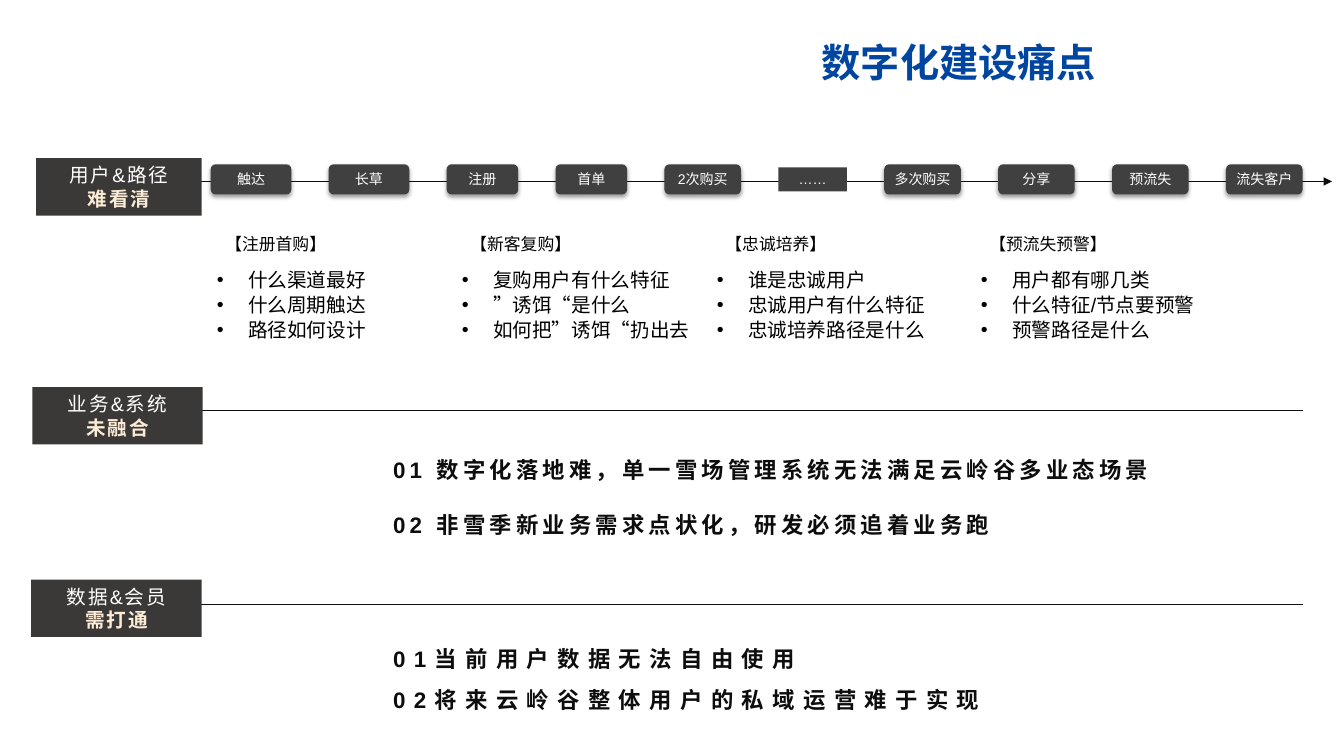
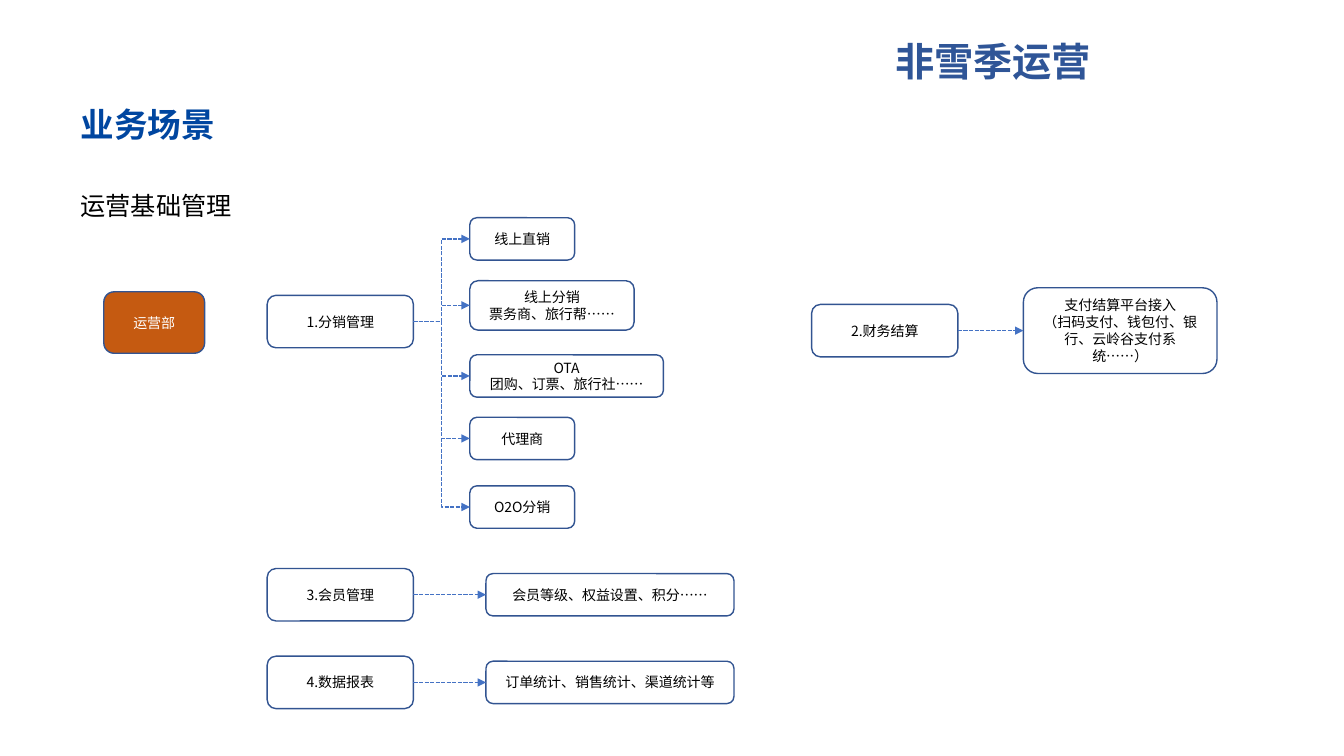
from lxml.etree import SubElement
from pptx import Presentation
from pptx.dml.color import RGBColor
from pptx.enum.dml import MSO_LINE
from pptx.enum.lang import MSO_LANGUAGE_ID
from pptx.enum.shapes import MSO_CONNECTOR as LINK, MSO_SHAPE as SHAPE
from pptx.enum.text import MSO_ANCHOR as ANCHOR, MSO_AUTO_SIZE, PP_ALIGN as ALIGN
from pptx.oxml.ns import qn
from pptx.util import Inches, Pt

LATIN, CHINESE = "Arial", "Noto Sans CJK SC"
BLACK, WHITE, INK = "000000", "FFFFFF", "0D0D0D"
BRAND_BLUE, TITLE_BLUE = "0046A0", "2F5597"
LABEL_FILL, LABEL_ACCENT, STEP_FILL = "3B3838", "FCECD6", "404040"
BOX_LINE, LINK_LINE, DEPARTMENT_FILL = "325491", "4472C4", "C55A11"
LEFT_SITE, RIGHT_SITE = 1, 3


def paint(color_format, hex_color):
    """Set a fill's or font's colour from a hex string."""
    if hasattr(color_format, "solid"):
        color_format.solid()
        color_format = color_format.fore_color
    color_format.rgb = RGBColor.from_string(hex_color)


def add_bullet(paragraph):
    """Give a paragraph a round bullet with a hanging indent."""
    properties = paragraph._p.get_or_add_pPr()
    properties.set("marL", str(Inches(0.33)))
    properties.set("indent", str(Inches(-0.31)))
    SubElement(properties, qn("a:buFont")).set("typeface", LATIN)
    SubElement(properties, qn("a:buChar")).set("char", "•")


def format_run(run, size, color, font, bold, tracking):
    """Apply character formatting for Latin and Chinese text."""
    run.font.size = Pt(size)
    run.font.name = font
    run.font.bold = bold
    run.font.language_id = MSO_LANGUAGE_ID.SIMPLIFIED_CHINESE
    paint(run.font.color, color)
    properties = run.font._element
    SubElement(properties, qn("a:ea")).set("typeface", CHINESE)
    if tracking:
        properties.set("spc", str(round(tracking * 100)))


def write_text(shape, lines, *, size, color=BLACK, font=LATIN, bold=False,
               align=ALIGN.LEFT, anchor=ANCHOR.TOP, tracking=0, line_spacing=None,
               space_before=0, bullet=False, wrap=True, margins=(0.1, 0.05, 0.1, 0.05)):
    """Fill a shape with lines, each a string or a (string, overrides) pair."""
    frame = shape.text_frame
    frame.auto_size = MSO_AUTO_SIZE.NONE
    frame.word_wrap = wrap
    frame.vertical_anchor = anchor
    (frame.margin_left, frame.margin_top,
     frame.margin_right, frame.margin_bottom) = map(Inches, margins)
    for index, line in enumerate(lines):
        text, overrides = (line, {}) if isinstance(line, str) else line
        paragraph = frame.add_paragraph() if index else frame.paragraphs[0]
        paragraph.alignment = align
        if line_spacing:
            paragraph.line_spacing = line_spacing
        if index and space_before:
            paragraph.space_before = Pt(space_before)
        if bullet:
            add_bullet(paragraph)
        run = paragraph.add_run()
        run.text = text
        style = dict(size=size, color=color, font=font, bold=bold, tracking=tracking)
        format_run(run, **(style | overrides))


def add_text(slide, place, lines, **style):
    """Add a text box at (left, top, width, height)."""
    write_text(slide.shapes.add_textbox(*map(Inches, place)), lines, **style)


def add_box(slide, kind, place, lines, *, fill, line=None, **style):
    """Add a filled preset shape with centred text."""
    box = slide.shapes.add_shape(kind, *map(Inches, place))
    box.shadow.inherit = False
    paint(box.fill, fill)
    if line:
        paint(box.line.fill, line)
        box.line.width = Pt(1)
    else:
        box.line.fill.background()
    write_text(box, lines, align=ALIGN.CENTER, **style)
    return box


def add_soft_shadow(shape):
    """Put a soft shadow straight below a shape."""
    effects = shape._element.spPr.find(qn("a:effectLst"))
    shadow = SubElement(effects, qn("a:outerShdw"), blurRad=str(Pt(3.1)),
                        dist=str(Pt(1.6)), dir="5400000", algn="t", rotWithShape="0")
    color = SubElement(shadow, qn("a:srgbClr"), val=BLACK)
    SubElement(color, qn("a:alpha"), val="38000")


def add_link(slide, kind, start, end, color, arrow=False):
    """Add a one-point connector, with an arrowhead at its end if wanted."""
    link = slide.shapes.add_connector(kind, *map(Inches, start + end))
    paint(link.line.fill, color)
    link.line.width = Pt(1)
    if arrow:
        SubElement(link.line._get_or_add_ln(), qn("a:tailEnd")).set("type", "triangle")
    SubElement(link._element.spPr, qn("a:effectLst"))
    return link


def join(slide, source, target):
    """Join two boxes from right to left with a dashed elbow arrow."""
    link = add_link(slide, LINK.ELBOW, (0, 0), (1, 1), LINK_LINE, arrow=True)
    link.line.dash_style = MSO_LINE.SQUARE_DOT
    link.begin_connect(source, RIGHT_SITE)
    link.end_connect(target, LEFT_SITE)


def add_titled_slide(presentation, title, place, color):
    """Add a title-only slide with its title placed and formatted."""
    slide = presentation.slides.add_slide(presentation.slide_layouts[5])
    shape = slide.shapes.title
    shape.left, shape.top, shape.width, shape.height = map(Inches, place)
    write_text(shape, [title], size=28, color=color, font=CHINESE, bold=True, wrap=False)
    return slide


def add_label(slide, place, topic, problem):
    """Add a dark section label with a highlighted second line."""
    add_box(slide, SHAPE.RECTANGLE, place,
            [topic, (problem, dict(color=LABEL_ACCENT, bold=True))],
            fill=LABEL_FILL, size=14, color=WHITE, tracking=1.3)


def add_step(slide, text, left, width):
    """Add one step of the customer journey."""
    step = add_box(slide, SHAPE.ROUNDED_RECTANGLE, (left, 1.63, width, 0.3), [text],
                   fill=STEP_FILL, size=10, color=WHITE, anchor=ANCHOR.MIDDLE,
                   margins=(0.04, 0.03, 0.04, 0.03))
    add_soft_shadow(step)


def add_questions(slide, left, width, heading, heading_width, questions):
    """Add a stage heading with its bulleted questions."""
    add_text(slide, (left - 0.12, 2.27, heading_width, 0.3), [heading],
             size=12, align=ALIGN.CENTER)
    add_text(slide, (left, 2.65, width, 0.75), questions, size=14, bullet=True,
             space_before=1, margins=(0, 0.01, 0, 0))


def add_node(slide, left, middle, width, height, *lines, fill=WHITE, color=BLACK):
    """Add an outlined rounded box centred on a height."""
    return add_box(slide, SHAPE.ROUNDED_RECTANGLE,
                   (left, middle - height / 2, width, height), lines,
                   fill=fill, line=BOX_LINE, size=10, color=color, font=CHINESE,
                   anchor=ANCHOR.MIDDLE)


def build_pain_points(presentation):
    """Build the slide on the pain points of going digital."""
    slide = add_titled_slide(presentation, "数字化建设痛点", (8.05, 0.33, 2.95, 0.57), BRAND_BLUE)
    add_link(slide, LINK.STRAIGHT, (1.38, 1.8), (13.21, 1.8), INK, arrow=True)
    for middle in (4.07, 6):
        add_link(slide, LINK.STRAIGHT, (1.8, middle), (12.92, middle), INK)

    steps = [("触达", 2.09, 0.8), ("长草", 3.26, 0.8), ("注册", 4.43, 0.71),
             ("首单", 5.51, 0.71), ("2次购买", 6.59, 0.76), ("多次购买", 8.77, 0.76),
             ("分享", 9.9, 0.76), ("预流失", 11.03, 0.76), ("流失客户", 12.16, 0.76)]
    for step in steps:
        add_step(slide, *step)
    add_box(slide, SHAPE.RECTANGLE, (7.72, 1.66, 0.68, 0.24), ["……"], fill=STEP_FILL,
            size=10, color=WHITE, margins=(0.07, 0.03, 0.07, 0.03))

    labels = [((0.36, 1.57, 1.64, 0.57), "用户&路径", "难看清"),
              ((0.32, 3.84, 1.69, 0.57), "业务&系统", "未融合"),
              ((0.31, 5.75, 1.69, 0.57), "数据&会员", "需打通")]
    for label in labels:
        add_label(slide, *label)

    stages = [
        (2.13, 2.01, "【注册首购】", 1.45, ["什么渠道最好", "什么周期触达", "路径如何设计"]),
        (4.56, 2.29, "【新客复购】", 1.45,
         ["复购用户有什么特征", "”诱饵“是什么", "如何把”诱饵“扔出去"]),
        (7.09, 2.24, "【忠诚培养】", 1.45,
         ["谁是忠诚用户", "忠诚用户有什么特征", "忠诚培养路径是什么"]),
        (9.71, 2.24, "【预流失预警】", 1.61,
         ["用户都有哪几类", "什么特征/节点要预警", "预警路径是什么"]),
    ]
    for stage in stages:
        add_questions(slide, *stage)

    point = dict(size=16, color=INK, bold=True)
    add_text(slide, (3.8, 4.34, 8.54, 0.5),
             ["01 数字化落地难，单一雪场管理系统无法满足云岭谷多业态场景"],
             tracking=3, line_spacing=1.5, **point)
    add_text(slide, (3.8, 5.02, 7.35, 0.37),
             ["02 非雪季新业务需求点状化，研发必须追着业务跑"], tracking=3, **point)
    add_text(slide, (3.8, 6.22, 7.03, 0.91),
             ["01当前用户数据无法自由使用", "02将来云岭谷整体用户的私域运营难于实现"],
             tracking=6, line_spacing=1.5, **point)


def build_operations(presentation):
    """Build the slide on operations outside the snow season."""
    slide = add_titled_slide(presentation, "非雪季运营", (8.78, 0.32, 2.17, 0.57), TITLE_BLUE)
    add_text(slide, (0.7, 0.9, 3.26, 0.55), ["业务场景"], size=24, color=BRAND_BLUE,
             bold=True, line_spacing=1.2)
    add_text(slide, (0.7, 1.84, 1.78, 0.4), ["运营基础管理"], size=18, font=CHINESE)
    add_node(slide, 1.03, 3.2, 1, 0.61, "运营部", fill=DEPARTMENT_FILL, color=WHITE)

    branches = [
        (2.65, 3.19, "1.分销管理", [
            (4.66, 2.37, 1.04, 0.42, "线上直销"),
            (4.66, 3.03, 1.63, 0.49, "线上分销", "票务商、旅行帮……"),
            (4.66, 3.73, 1.92, 0.42, "OTA", "团购、订票、旅行社……"),
            (4.66, 4.35, 1.04, 0.42, "代理商"),
            (4.66, 5.03, 1.04, 0.42, "O2O分销")]),
        (8.05, 3.28, "2.财务结算", [
            (10.15, 3.28, 1.92, 0.85, "支付结算平台接入",
             "（扫码支付、钱包付、银行、云岭谷支付系统……）")]),
        (2.65, 5.9, "3.会员管理", [(4.82, 5.9, 2.46, 0.42, "会员等级、权益设置、积分……")]),
        (2.65, 6.77, "4.数据报表", [(4.82, 6.77, 2.46, 0.42, "订单统计、销售统计、渠道统计等")]),
    ]
    for left, middle, name, details in branches:
        branch = add_node(slide, left, middle, 1.45, 0.52, name)
        for detail in details:
            join(slide, branch, add_node(slide, *detail))


def main():
    """Build and save the presentation."""
    presentation = Presentation()
    presentation.slide_width, presentation.slide_height = Inches(13.33), Inches(7.5)
    build_pain_points(presentation)
    build_operations(presentation)
    presentation.save("out.pptx")


if __name__ == "__main__":
    main()
